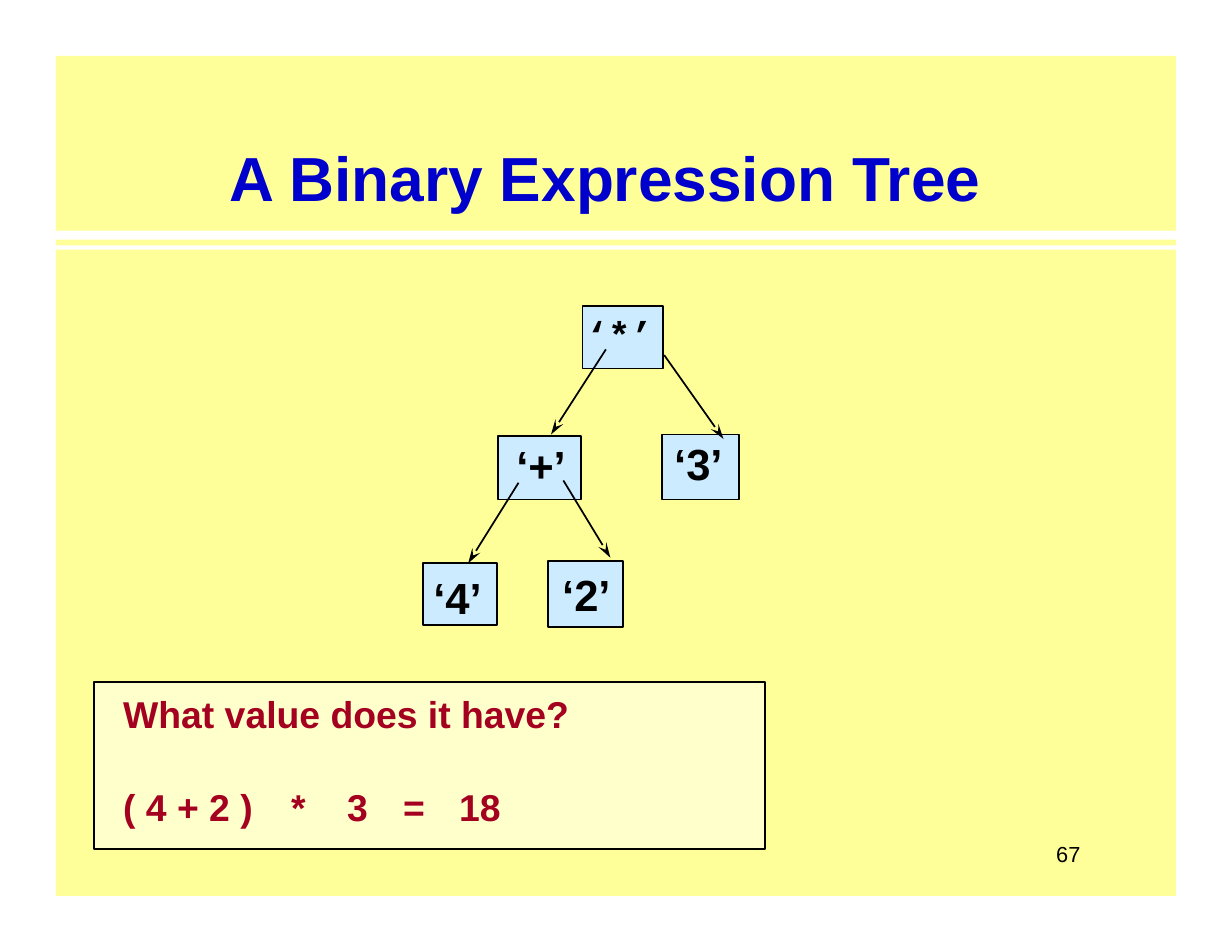
from dataclasses import dataclass

from lxml.etree import SubElement
from pptx import Presentation
from pptx.dml.color import RGBColor
from pptx.enum.shapes import MSO_CONNECTOR, MSO_SHAPE
from pptx.enum.text import MSO_ANCHOR, PP_ALIGN
from pptx.oxml.ns import qn
from pptx.util import Inches, Pt


@dataclass(frozen=True)
class Theme:
    page: str = "FFFF99"
    rule: str = "FFFFFF"
    title: str = "0000CC"
    node: str = "CCEBFF"
    answer_box: str = "FFFFCC"
    answer: str = "A40020"
    ink: str = "000000"
    font: str = "Arial"
    mono: str = "Courier New"
    title_size: int = 40
    node_size: int = 28
    text_size: int = 24
    number_size: int = 14
    line: float = 1.1


THEME = Theme()


def add_rect(s, box, fill, outlined=False):
    sp = s.shapes.add_shape(MSO_SHAPE.RECTANGLE, *map(Inches, box))
    sp.shadow.inherit = False
    sp.fill.solid()
    sp.fill.fore_color.rgb = RGBColor.from_string(fill)
    if outlined:
        sp.line.color.rgb = RGBColor.from_string(THEME.ink)
        sp.line.width = Pt(THEME.line)
    else:
        sp.line.fill.background()
    return sp


def set_frame(sp, left=0, top=0, wrap=True):
    """Top-anchored frame with only left and top insets."""
    tf = sp.text_frame
    tf.word_wrap = wrap
    tf.vertical_anchor = MSO_ANCHOR.TOP
    tf.margin_left, tf.margin_top = Inches(left), Inches(top)
    tf.margin_right = tf.margin_bottom = 0
    return tf


def add_run(p, text, size, color, bold=True, font=THEME.font):
    p.alignment = PP_ALIGN.LEFT
    r = p.add_run()
    r.text = text
    r.font.name, r.font.size, r.font.bold = font, Pt(size), bold
    r.font.color.rgb = RGBColor.from_string(color)


def add_arrow(s, start, end):
    c = s.shapes.add_connector(MSO_CONNECTOR.STRAIGHT,
                               *map(Inches, (*start, *end)))
    c.line.color.rgb = RGBColor.from_string(THEME.ink)
    c.line.width = Pt(THEME.line)
    SubElement(c.line._get_or_add_ln(), qn("a:tailEnd"),
               type="stealth", w="med", len="lg")
    SubElement(c._element.spPr, qn("a:effectLst"))


def add_page(s, box, title, number):
    """Yellow page with title, double rule and page number."""
    x, y, w, h = box
    add_rect(s, box, THEME.page)
    for dy, thickness in ((1.56, 0.08), (1.69, 0.04)):
        add_rect(s, (x, y + dy, w, thickness), THEME.rule)

    # Title, lifted above the page fill
    sp = s.shapes.title
    s.shapes._spTree.append(sp._element)
    sp.left, sp.top = Inches(x + 1.54), Inches(y + 0.73)
    sp.width, sp.height = Inches(6.8), Inches(0.7)
    tf = set_frame(sp, 0.01, 0.01)
    add_run(tf.paragraphs[0], title, THEME.title_size, THEME.title)

    # Page number
    sp = s.shapes.add_textbox(Inches(x + 8.89), Inches(y + 6.97),
                              Inches(0.3), Inches(0.24))
    p = set_frame(sp, 0.04).paragraphs[0]
    p.line_spacing = 1.17
    add_run(p, number, THEME.number_size, THEME.ink, bold=False)


def add_tree(s, box):
    """Expression tree: nodes, then the arrows to their children."""
    x, y = box[:2]
    # label, box within the tree, text insets
    nodes = (
        ("*", (1.42, 0, 0.72, 0.56), (0.03, 0.05)),
        ("+", (0.67, 1.16, 0.74, 0.57), (0.16, 0.03)),
        ("3", (2.13, 1.15, 0.69, 0.58), (0.11, 0.02)),
        ("4", (0, 2.3, 0.66, 0.55), (0.09, 0.07)),
        ("2", (1.11, 2.28, 0.67, 0.59), (0.13, 0.06)),
    )
    for label, (dx, dy, w, h), inset in nodes:
        sp = add_rect(s, (x + dx, y + dy, w, h), THEME.node, outlined=True)
        p = set_frame(sp, *inset, wrap=False).paragraphs[0]
        root = label == "*"
        add_run(p, f"‘{label}’", THEME.text_size if root else THEME.node_size,
                THEME.ink, font=THEME.mono if root else THEME.font)

    edges = (
        ((1.63, 0.39), (1.14, 1.15)),
        ((2.15, 0.44), (2.68, 1.19)),
        ((0.85, 1.58), (0.4, 2.3)),
        ((1.25, 1.56), (1.67, 2.25)),
    )
    for start, end in edges:
        add_arrow(s, *((x + dx, y + dy) for dx, dy in (start, end)))


def add_answer(s, box, question, terms):
    """Outlined box with the question and the tabbed evaluation."""
    sp = add_rect(s, box, THEME.answer_box, outlined=True)
    tf = set_frame(sp, 0.26, 0.08)
    add_run(tf.paragraphs[0], question, THEME.text_size, THEME.answer)
    p = tf.add_paragraph()
    p.space_before = Pt(31)
    add_run(p, "\t".join(terms), THEME.text_size, THEME.answer)


def main():
    prs = Presentation()
    prs.slide_width, prs.slide_height = Inches(11), Inches(8.5)
    s = prs.slides.add_slide(prs.slide_layouts[5])
    add_page(s, (0.5, 0.5, 10, 7.5), "A Binary Expression Tree", "67")
    add_tree(s, (3.78, 2.73, 2.82, 2.87))
    add_answer(s, (0.84, 6.09, 5.99, 1.49), "What value does it have?",
               ("( 4 + 2 )", "*", "3", "=", "18"))
    prs.save("out.pptx")


if __name__ == "__main__":
    main()
